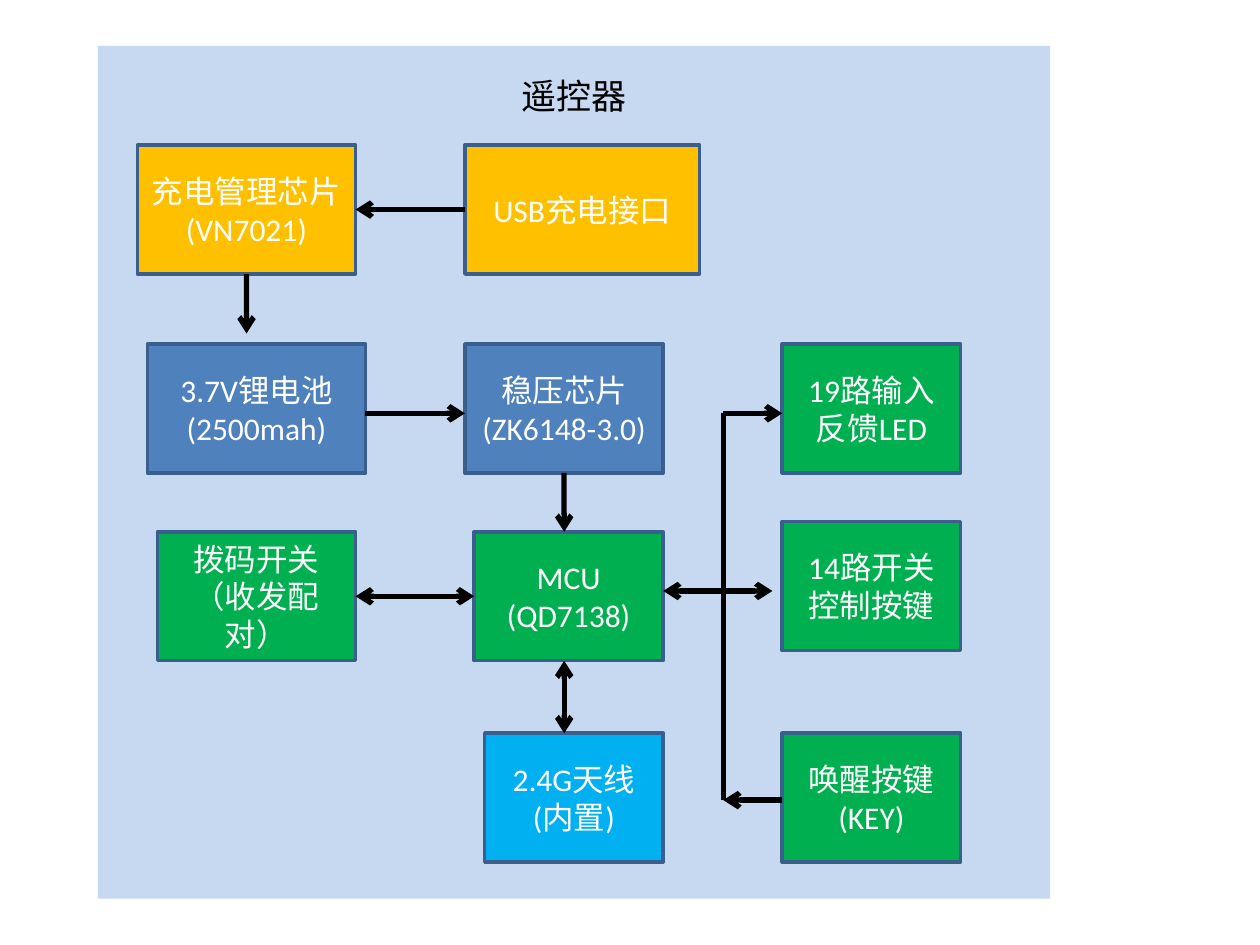
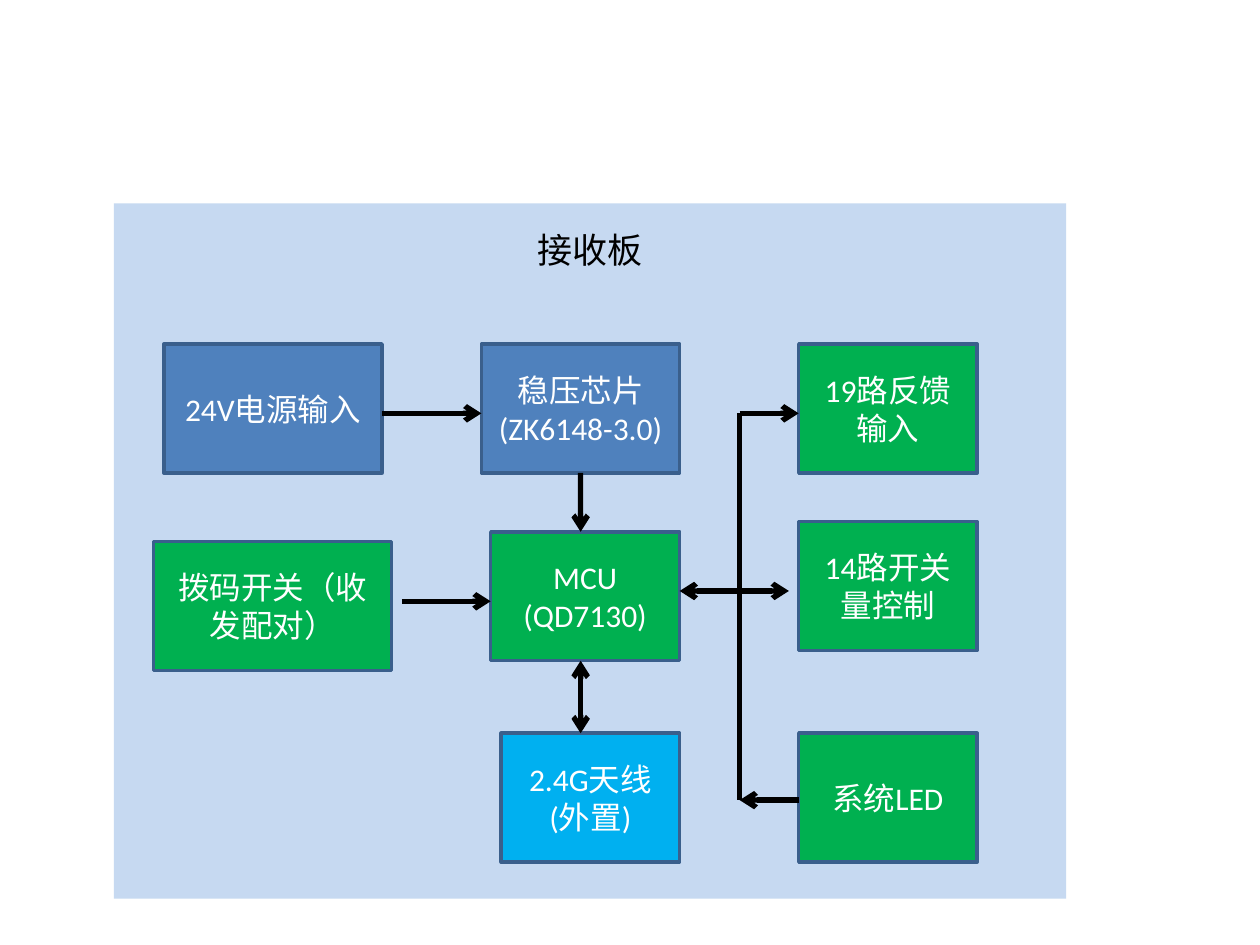
from dataclasses import dataclass
from typing import NamedTuple, Union

import lxml.etree
import pptx
import pptx.dml.color
import pptx.enum.shapes
import pptx.enum.text
import pptx.oxml.ns
import pptx.util

Pt = pptx.util.Pt
RGBColor = pptx.dml.color.RGBColor
qn = pptx.oxml.ns.qn

# Colours
PANEL_BLUE = RGBColor(0xC6, 0xD9, 0xF1)
BORDER_BLUE = RGBColor(0x3A, 0x5F, 0x8C)
POWER_BLUE = RGBColor(0x4F, 0x81, 0xBD)
CHARGE_AMBER = RGBColor(0xFF, 0xC0, 0x00)
LOGIC_GREEN = RGBColor(0x00, 0xB0, 0x50)
RADIO_BLUE = RGBColor(0x00, 0xB0, 0xF0)
BLACK = RGBColor(0, 0, 0)
WHITE = RGBColor(0xFF, 0xFF, 0xFF)

# Shared measures, in points
FONT = "Calibri"
BOX_H = 73.7
PANEL_W, PANEL_BOTTOM = 544.2, 513.5
TITLE_H = 36
TOP, LEFT, BOTTOM, RIGHT = range(4)  # connection sites
POWER_Y, POWER_LINE_Y = 196.6, 236.2
MCU_Y, MCU_LINE_Y = 303.9, 337.7
ANTENNA_Y, KEY_LINE_Y = 419, 457.2
RECEIVER_DX = 9.4  # the receiver repeats the remote's core, moved right


@dataclass(frozen=True)
class Box:
    name: str
    text: str  # one paragraph per line
    x: float
    y: float
    w: float
    fill: RGBColor


class Point(NamedTuple):
    x: float
    y: float


class Site(NamedTuple):
    box: str
    side: int


@dataclass(frozen=True)
class Arrow:
    start: Union[Point, Site]
    end: Union[Point, Site]
    head: bool = False
    tail: bool = True


@dataclass(frozen=True)
class Diagram:
    title: str
    title_y: float  # middle of the title
    panel_x: float
    panel_y: float
    boxes: list[Box]
    arrows: list[Arrow]


def core_boxes(dx: float, mcu: str, antenna: str, led: str, switch: str, key: str) -> list[Box]:
    """Regulator, MCU, antenna and the right-hand column."""
    column = [("led", led, POWER_Y), ("switch", switch, 298.1), ("key", key, ANTENNA_Y)]
    return [
        Box("regulator", "稳压芯片\n(ZK6148-3.0)", 265.7 + dx, POWER_Y, 113.3, POWER_BLUE),
        Box("mcu", f"MCU\n({mcu})", 271 + dx, MCU_Y, 108, LOGIC_GREEN),
        Box("antenna", f"2.4G天线\n({antenna})", 277 + dx, ANTENNA_Y, 102, RADIO_BLUE),
        *[Box(name, text, 447 + dx, y, 102, LOGIC_GREEN) for name, text, y in column],
    ]


def core_arrows(dx: float) -> list[Arrow]:
    """Arrows of the core, with the vertical bus beside the right-hand column."""
    bus, column, mid = 413.3 + dx, 447 + dx, 322.4 + dx
    return [
        Arrow(Point(208.8 + dx, POWER_LINE_Y), Point(265.7 + dx, POWER_LINE_Y)),
        Arrow(Site("regulator", BOTTOM), Point(mid, MCU_Y)),
        Arrow(Point(mid, MCU_Y + BOX_H), Point(mid, ANTENNA_Y), head=True),
        Arrow(Point(bus, POWER_LINE_Y), Point(bus, KEY_LINE_Y), tail=False),
        Arrow(Point(bus, POWER_LINE_Y), Point(column, POWER_LINE_Y)),
        Arrow(Point(bus, MCU_LINE_Y), Point(column - 5.6, MCU_LINE_Y)),
        Arrow(Point(bus, MCU_LINE_Y), Point(379 + dx, MCU_LINE_Y)),
        Arrow(Point(column, KEY_LINE_Y), Point(bus, KEY_LINE_Y)),
    ]


REMOTE = Diagram(
    "遥控器", 54.4, 55.9, 26.2,
    boxes=[
        Box("charger", "充电管理芯片\n(VN7021)", 78.5, 82.9, 124.7, CHARGE_AMBER),
        Box("usb", "USB充电接口", 265.7, 82.9, 134, CHARGE_AMBER),
        Box("battery", "3.7V锂电池\n(2500mah)", 84.2, POWER_Y, 124.7, POWER_BLUE),
        Box("dial", "拨码开关（收发配对）", 89.9, MCU_Y, 113.3, LOGIC_GREEN),
        *core_boxes(0, "QD7138", "内置", "19路输入反馈LED", "14路开关控制按键", "唤醒按键(KEY)"),
    ],
    arrows=[
        Arrow(Site("usb", LEFT), Site("charger", RIGHT)),
        Arrow(Site("charger", BOTTOM), Point(140.9, 190.6)),
        Arrow(Site("mcu", LEFT), Site("dial", RIGHT), head=True),
        *core_arrows(0),
    ],
)

RECEIVER = Diagram(
    "接收板", 142.3, 65.1, 116.2,
    boxes=[
        Box("supply", "24V电源输入", 93.6, POWER_Y, 124.7, POWER_BLUE),
        Box("dial", "拨码开关（收发配对）", 87.7, 309.5, 136.1, LOGIC_GREEN),
        *core_boxes(RECEIVER_DX, "QD7130", "外置", "19路反馈输入", "14路开关量控制", "系统LED"),
    ],
    arrows=[
        Arrow(Point(229.6, 343.6), Point(280.4, 343.6)),
        *core_arrows(RECEIVER_DX),
    ],
)


def write(tf, text: str, size: float, color: RGBColor) -> None:
    """Write centred text, one paragraph per line."""
    tf.word_wrap = True
    tf.vertical_anchor = pptx.enum.text.MSO_ANCHOR.MIDDLE
    for i, line in enumerate(text.split("\n")):
        p = tf.add_paragraph() if i else tf.paragraphs[0]
        p.alignment = pptx.enum.text.PP_ALIGN.CENTER
        r = p.add_run()
        r.text = line
        r.font.name = FONT
        r.font.size = Pt(size)
        r.font.color.rgb = color


def add_rect(s, x: float, y: float, w: float, h: float, fill: RGBColor):
    sp = s.shapes.add_shape(
        pptx.enum.shapes.MSO_SHAPE.RECTANGLE, Pt(x), Pt(y), Pt(w), Pt(h))
    sp.shadow.inherit = False
    sp.fill.solid()
    sp.fill.fore_color.rgb = fill
    sp.line.fill.background()
    return sp


def add_box(s, box: Box):
    sp = add_rect(s, box.x, box.y, box.w, BOX_H, box.fill)
    sp.line.color.rgb = BORDER_BLUE
    sp.line.width = Pt(2)
    write(sp.text_frame, box.text, 18, WHITE)
    return sp


def add_arrow(s, arrow: Arrow, shapes: dict) -> None:
    # Joined ends start at the origin and are moved by the join
    ends = [e if isinstance(e, Point) else Point(0, 0) for e in (arrow.start, arrow.end)]
    c = s.shapes.add_connector(
        pptx.enum.shapes.MSO_CONNECTOR.STRAIGHT, *[Pt(v) for e in ends for v in e])
    for end, join in ((arrow.start, c.begin_connect), (arrow.end, c.end_connect)):
        if isinstance(end, Site):
            join(shapes[end.box], end.side)
    c.line.color.rgb = BLACK
    c.line.width = Pt(3)
    ln = c.line._get_or_add_ln()
    for tag, shown in (("a:headEnd", arrow.head), ("a:tailEnd", arrow.tail)):
        if shown:
            lxml.etree.SubElement(ln, qn(tag), type="arrow")
    lxml.etree.SubElement(ln.getparent(), qn("a:effectLst"))


def add_diagram(prs, d: Diagram) -> None:
    s = prs.slides.add_slide(prs.slide_layouts[5])
    # Panel, placed behind the title
    title = s.shapes.title
    panel = add_rect(s, d.panel_x, d.panel_y, PANEL_W, PANEL_BOTTOM - d.panel_y, PANEL_BLUE)
    title.element.addprevious(panel.element)
    title.left, title.top = Pt(d.panel_x), Pt(d.title_y - TITLE_H / 2)
    title.width, title.height = Pt(PANEL_W), Pt(TITLE_H)
    write(title.text_frame, d.title, 20, BLACK)
    # Blocks and their links
    shapes = {box.name: add_box(s, box) for box in d.boxes}
    for arrow in d.arrows:
        add_arrow(s, arrow, shapes)


def main() -> None:
    prs = pptx.Presentation()
    prs.slide_width, prs.slide_height = Pt(720), Pt(540)
    for d in (REMOTE, RECEIVER):
        add_diagram(prs, d)
    prs.save("out.pptx")


if __name__ == "__main__":
    main()
